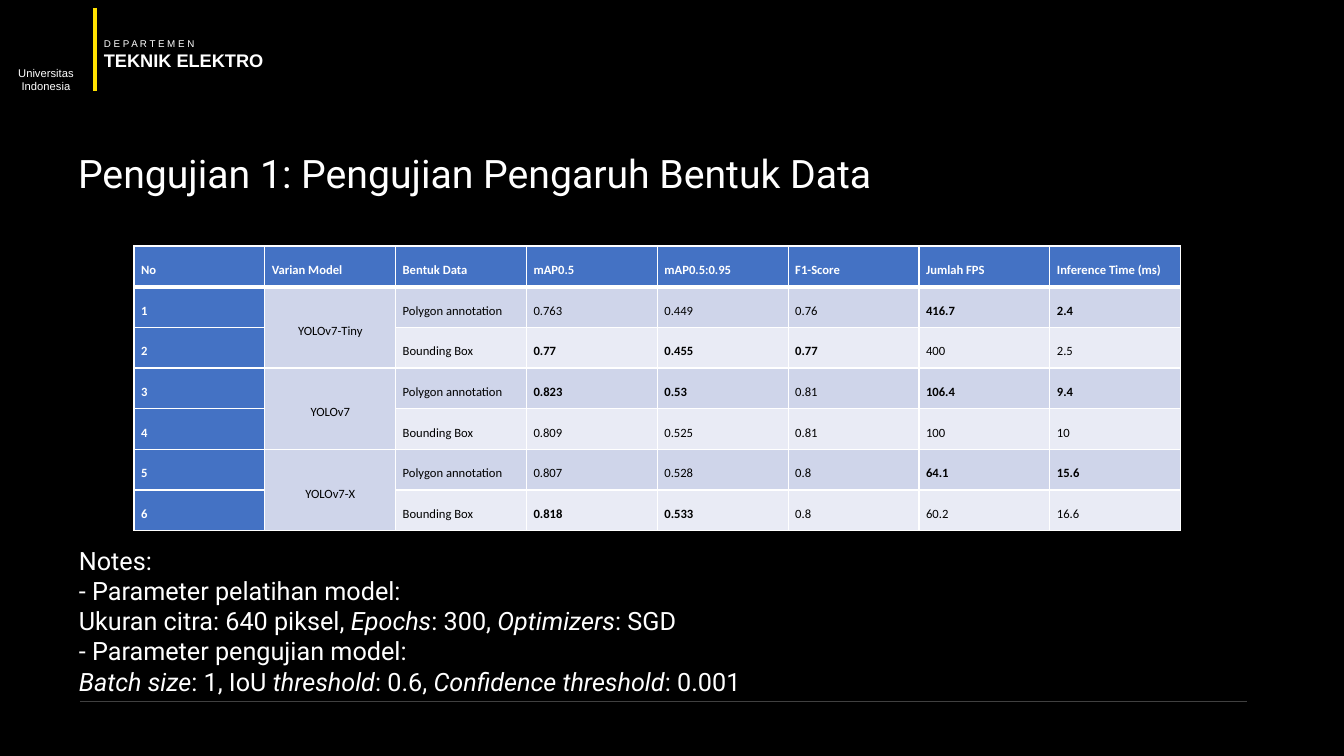
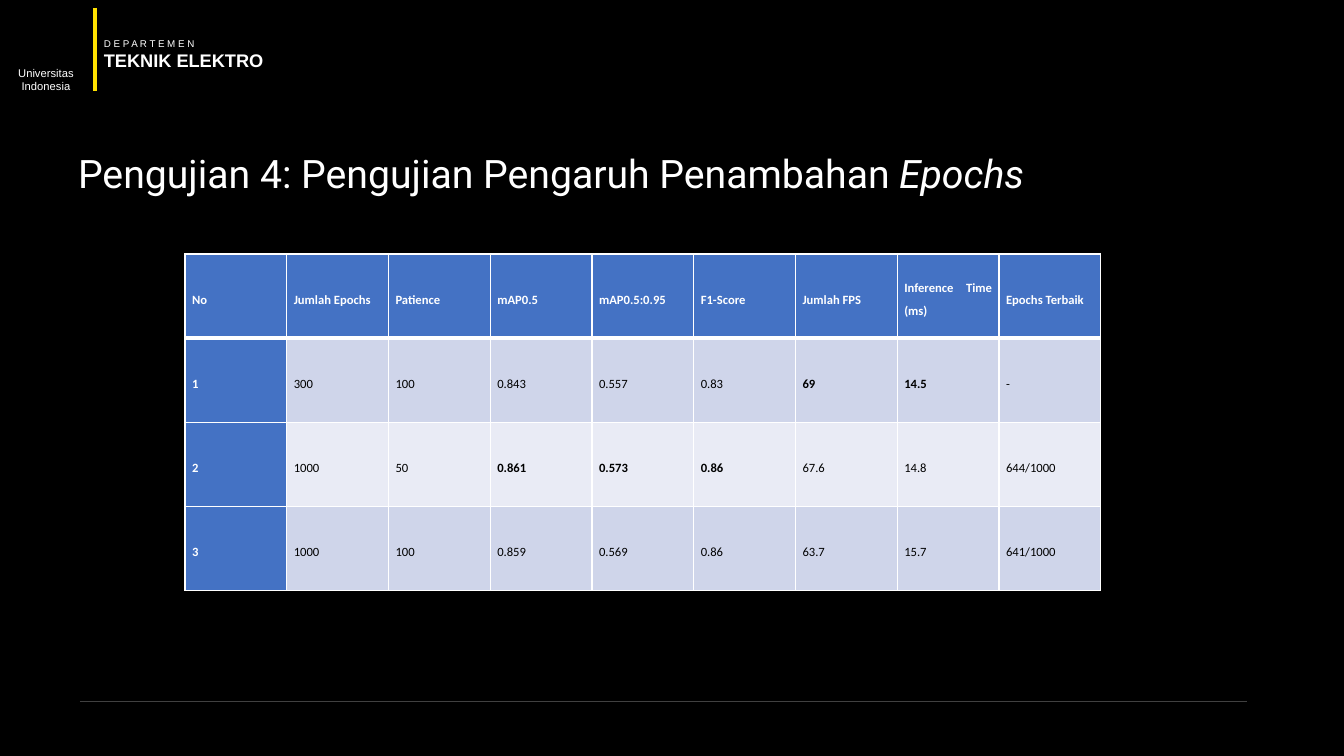
from lxml import etree
from pptx import Presentation
from pptx import util as u
from pptx.dml.color import RGBColor
from pptx.enum import shapes, text
from pptx.oxml import ns

COLORS = {
    "background": "000000", "light": "FFFFFF", "dark": "000000",
    "accent": "FFE100", "rule": "404040",
    "header": "4472C4", "odd_row": "CFD5EA", "even_row": "E9EBF5",
}
PX = u.Inches(1) / 100.8
LEFT, JUSTIFY, CENTER = (text.PP_ALIGN.LEFT, text.PP_ALIGN.JUSTIFY, text.PP_ALIGN.CENTER)


def px(*lengths):
    return [u.Emu(round(length * PX)) for length in lengths]


def rgb(name):
    return RGBColor.from_string(COLORS[name])


def write(paragraph, content, size, font, color="light", bold=False, emphasis="italic", align=LEFT):
    """Write one paragraph; parts between asterisks get the emphasis."""
    paragraph.alignment = align
    for index, part in enumerate(content.split("*")):
        if not part:
            continue
        run = paragraph.add_run()
        run.text = part
        run.font.size = u.Pt(size)
        run.font.name = font
        run.font.bold = bold
        run.font.color.rgb = rgb(color)
        if index % 2:
            setattr(run.font, emphasis, True)


def add_text(slide, box, lines, font, align=LEFT):
    """Add a text box from (content, size, bold) lines."""
    frame = slide.shapes.add_textbox(*px(*box)).text_frame
    frame.word_wrap = True
    for index, (content, size, bold) in enumerate(lines):
        paragraph = frame.add_paragraph() if index else frame.paragraphs[0]
        write(paragraph, content, size, font, bold=bold, align=align)


def add_line(slide, ends, color, width):
    line = slide.shapes.add_connector(shapes.MSO_CONNECTOR.STRAIGHT, *px(*ends))
    line.line.color.rgb = rgb(color)
    line.line.width = u.Pt(width)
    etree.SubElement(line._element.spPr, ns.qn("a:effectLst"))


def add_branding(slide):
    """Department header and footer rule."""
    add_line(slide, (80, 701, 1247, 701), "rule", 0.5)
    add_text(slide, (94, 33, 197, 44),
             [("D E P A R T E M E N", 7, False), ("TEKNIK ELEKTRO", 13, True)], "Arial")
    add_line(slide, (95, 8, 95, 91), "accent", 2.25)
    add_text(slide, (-1, 61, 94, 37),
             [("Universitas", 8, False), ("Indonesia", 8, False)], "Arial", CENTER)


def add_test_slide(presentation, title):
    slide = presentation.slides.add_slide(presentation.slide_layouts[5])
    add_branding(slide)
    shape = slide.shapes.title
    shape.left, shape.top, shape.width, shape.height = px(68, 144, 1104, 57)
    frame = shape.text_frame
    frame.auto_size = text.MSO_AUTO_SIZE.NONE
    frame.vertical_anchor = text.MSO_ANCHOR.TOP
    write(frame.paragraphs[0], title, 28, "Roboto")
    return slide


def set_borders(cell, top, bottom):
    """White borders; must precede the cell's fill."""
    properties = cell._tc.get_or_add_tcPr()
    for side, width in (("L", 1), ("R", 1), ("T", top), ("B", bottom)):
        line = etree.SubElement(properties, ns.qn(f"a:ln{side}"), w=str(u.Pt(width)))
        fill = etree.SubElement(line, ns.qn("a:solidFill"))
        etree.SubElement(fill, ns.qn("a:srgbClr"), val=COLORS["light"])


def add_results(slide, box, rows):
    """Results table: None joins a cell to the one above it."""
    table = slide.shapes.add_table(len(rows), len(rows[0]), *px(*box)).table
    for row, values in enumerate(rows):
        for column, value in enumerate(values):
            cell = table.cell(row, column)
            heading = row == 0 or column == 0
            joined = value is None or (row + 1 < len(rows) and rows[row + 1][column] is None)
            set_borders(cell, 3 if row == 1 else 1, 3 if row == 0 else 1)
            cell.fill.solid()
            band = "odd_row" if row % 2 else "even_row"
            cell.fill.fore_color.rgb = rgb("header" if heading else band)
            cell.margin_left = cell.margin_right = u.Inches(0.07)
            cell.margin_top = cell.margin_bottom = 0
            cell.vertical_anchor = text.MSO_ANCHOR.MIDDLE
            if value is None:
                table.cell(row - 1, column).merge(cell)
                continue
            paragraph = cell.text_frame.paragraphs[0]
            paragraph.line_spacing = 1.5
            paragraph.space_after = u.Pt(6)
            write(paragraph, value, 9, "Calibri", "light" if heading else "dark",
                  heading, "bold", CENTER if joined else JUSTIFY)


def build_data_shape_slide(presentation):
    slide = add_test_slide(presentation, "Pengujian 1: Pengujian Pengaruh Bentuk Data")
    add_results(slide, (134, 246, 1047, 285), [
        ("No", "Varian Model", "Bentuk Data", "mAP0.5", "mAP0.5:0.95", "F1-Score",
         "Jumlah FPS", "Inference Time (ms)"),
        ("1", "YOLOv7-Tiny", "Polygon annotation", "0.763", "0.449", "0.76", "*416.7*", "*2.4*"),
        ("2", None, "Bounding Box", "*0.77*", "*0.455*", "*0.77*", "400", "2.5"),
        ("3", "YOLOv7", "Polygon annotation", "*0.823*", "*0.53*", "0.81", "*106.4*", "*9.4*"),
        ("4", None, "Bounding Box", "0.809", "0.525", "0.81", "100", "10"),
        ("5", "YOLOv7-X", "Polygon annotation", "0.807", "0.528", "0.8", "*64.1*", "*15.6*"),
        ("6", None, "Bounding Box", "*0.818*", "*0.533*", "0.8", "60.2", "16.6"),
    ])
    notes = [
        "Notes:",
        "- Parameter pelatihan model:",
        "Ukuran citra: 640 piksel, *Epochs*: 300, *Optimizers*: SGD",
        "- Parameter pengujian model:",
        "*Batch size*: 1, IoU *threshold*: 0.6, *Confidence threshold*: 0.001",
    ]
    add_text(slide, (69, 540, 1100, 163), [(note, 18, False) for note in notes], "Roboto")


def build_epochs_slide(presentation):
    slide = add_test_slide(presentation, "Pengujian 4: Pengujian Pengaruh Penambahan *Epochs*")
    add_results(slide, (185, 254, 916, 337), [
        ("No", "Jumlah Epochs", "Patience", "mAP0.5", "mAP0.5:0.95", "F1-Score",
         "Jumlah FPS", "Inference Time (ms)", "Epochs Terbaik"),
        ("1", "300", "100", "0.843", "0.557", "0.83", "*69*", "*14.5*", "-"),
        ("2", "1000", "50", "*0.861*", "*0.573*", "*0.86*", "67.6", "14.8", "644/1000"),
        ("3", "1000", "100", "0.859", "0.569", "0.86", "63.7", "15.7", "641/1000"),
    ])


def main():
    presentation = Presentation()
    presentation.slide_width, presentation.slide_height = px(1344, 756)
    background = presentation.slide_master.background.fill
    background.solid()
    background.fore_color.rgb = rgb("background")
    build_data_shape_slide(presentation)
    build_epochs_slide(presentation)
    presentation.save("out.pptx")


if __name__ == "__main__":
    main()
